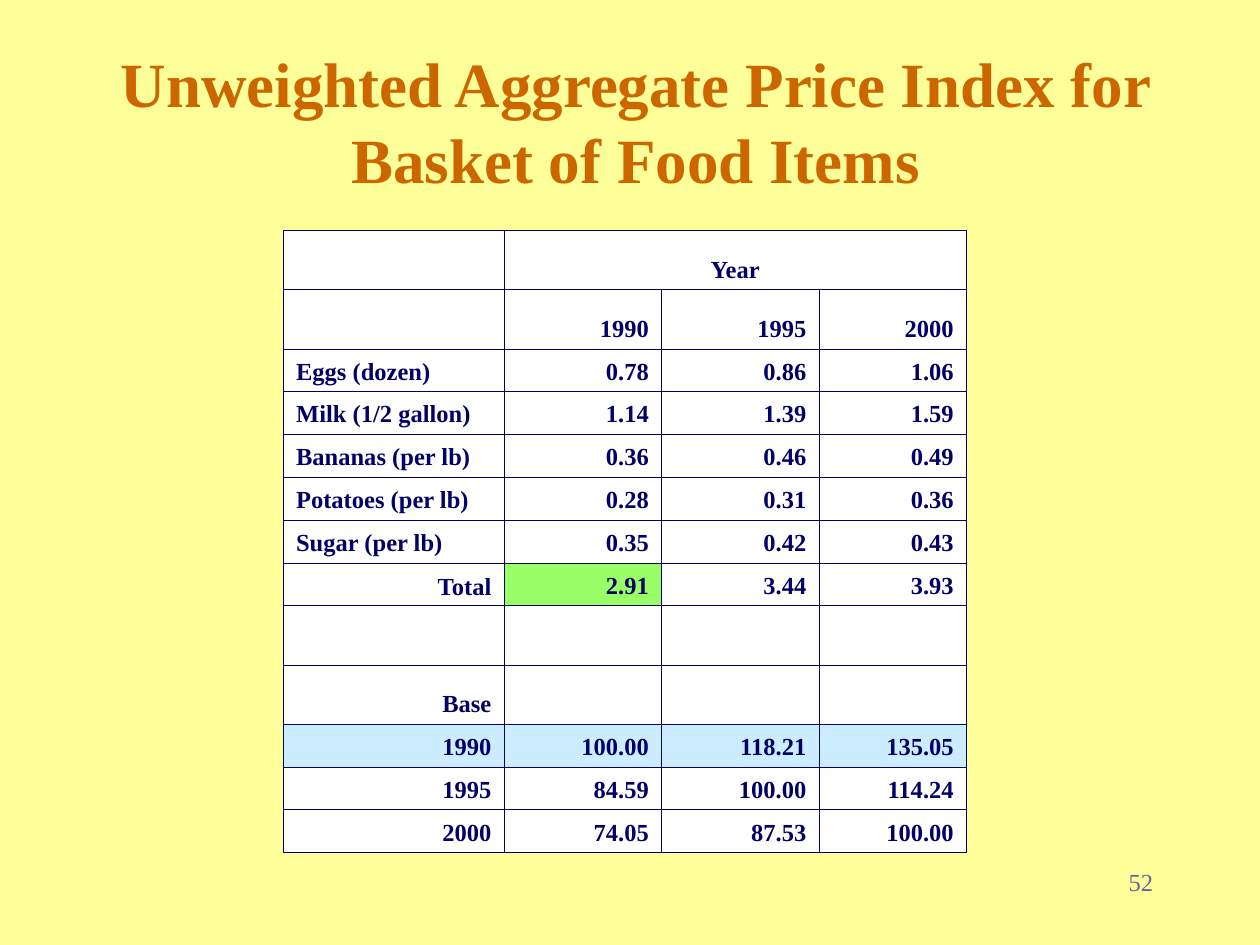
from dataclasses import dataclass

from pptx import Presentation
from pptx.dml.color import RGBColor as Color
from pptx.enum.text import MSO_ANCHOR as Anchor, PP_ALIGN as Align
from pptx.oxml import parse_xml
from pptx.oxml.ns import nsdecls
from pptx.util import Inches, Pt


@dataclass(frozen=True)
class Theme:
    """Colours, font and type sizes of the slide."""
    font: str = "Times New Roman"
    background: str = "FFFF99"
    title: str = "CC6600"
    ink: str = "000066"
    number: str = "666699"
    cell: str = "FFFFFF"
    base_total: str = "99FF66"
    base_row: str = "CCECFF"
    title_size: float = 36
    body_size: float = 14
    border_width: float = 0.45


THEME = Theme()
COLUMN_WIDTHS = (1.75, 1.25, 1.25, 1.17)
TALL_ROW, SHORT_ROW = 0.47, 0.34
TOTAL_ROW, BASE_YEAR_ROW = 7, 10
ROWS = (
    ("", "Year", "", ""),
    ("", "1990", "1995", "2000"),
    ("Eggs (dozen)", "0.78", "0.86", "1.06"),
    ("Milk (1/2 gallon)", "1.14", "1.39", "1.59"),
    ("Bananas (per lb)", "0.36", "0.46", "0.49"),
    ("Potatoes (per lb)", "0.28", "0.31", "0.36"),
    ("Sugar (per lb)", "0.35", "0.42", "0.43"),
    ("Total", "2.91", "3.44", "3.93"),
    ("", "", "", ""),
    ("Base", "", "", ""),
    ("1990", "100.00", "118.21", "135.05"),
    ("1995", "84.59", "100.00", "114.24"),
    ("2000", "74.05", "87.53", "100.00"),
)


def write(frame, text, *, size=THEME.body_size, color=THEME.ink, bold=True,
          align=Align.RIGHT, before=None, spacing=None):
    """Write one formatted paragraph into a text frame."""
    para = frame.paragraphs[0]
    para.alignment = align
    para.font.size = Pt(size)
    if before is not None:
        para.space_before = Pt(before)
    if spacing is not None:
        para.line_spacing = spacing
    if text:
        span = para.add_run()
        span.text = text
        span.font.name = THEME.font
        span.font.size = Pt(size)
        span.font.bold = bold
        span.font.color.rgb = Color.from_string(color)


def add_text(page, text, left, top, width, height, anchor=Anchor.TOP, **style):
    """Add a wrapping text box."""
    box = page.shapes.add_textbox(
        Inches(left), Inches(top), Inches(width), Inches(height))
    box.text_frame.word_wrap = True
    box.text_frame.vertical_anchor = anchor
    write(box.text_frame, text, **style)


def outline_cell(cell):
    """Draw a thin line on all four sides of a cell."""
    properties = cell._tc.get_or_add_tcPr()
    for side in ("lnL", "lnR", "lnT", "lnB"):
        properties.append(parse_xml(
            f'<a:{side} {nsdecls("a")} w="{Pt(THEME.border_width)}"><a:solidFill>'
            f'<a:srgbClr val="{THEME.ink}"/></a:solidFill></a:{side}>'))


def cell_fill(row, column):
    """Choose the fill that marks the base year."""
    if row == BASE_YEAR_ROW:
        return THEME.base_row
    return THEME.base_total if (row, column) == (TOTAL_ROW, 1) else THEME.cell


def cell_style(row, column):
    """Choose the paragraph format for a table position."""
    if row == 0:
        return {"align": Align.CENTER}
    if column == 0 and row < TOTAL_ROW:
        return {"align": Align.LEFT}
    if column == 0 and row == TOTAL_ROW:
        return {"before": 3.5, "spacing": 0.8}
    return {}


def add_price_table(page, left, top):
    """Add the table of food prices and index values."""
    heights = [SHORT_ROW if values[0] and values[0] != "Base" else TALL_ROW
               for values in ROWS]
    table = page.shapes.add_table(
        len(ROWS), len(COLUMN_WIDTHS), Inches(left), Inches(top),
        Inches(sum(COLUMN_WIDTHS)), Inches(sum(heights))).table
    table.first_row = table.horz_banding = False
    for column, width in zip(table.columns, COLUMN_WIDTHS):
        column.width = Inches(width)
    for row, height in zip(table.rows, heights):
        row.height = Inches(height)
    table.cell(0, 1).merge(table.cell(0, 3))
    for row, values in enumerate(ROWS):
        for column, text in enumerate(values):
            cell = table.cell(row, column)
            cell.vertical_anchor = Anchor.BOTTOM
            outline_cell(cell)
            cell.fill.solid()
            cell.fill.fore_color.rgb = Color.from_string(cell_fill(row, column))
            write(cell.text_frame, text, **cell_style(row, column))


def main():
    """Build and save the price index slide."""
    deck = Presentation()
    deck.slide_width, deck.slide_height = Inches(10), Inches(7.5)
    page = deck.slides.add_slide(deck.slide_layouts[6])
    page.background.fill.solid()
    page.background.fill.fore_color.rgb = Color.from_string(THEME.background)
    add_text(page, "Unweighted Aggregate Price Index for Basket of Food Items",
             0.42, 0.33, 9.25, 1.25, anchor=Anchor.MIDDLE,
             size=THEME.title_size, color=THEME.title, align=Align.CENTER)
    add_price_table(page, 2.25, 1.83)
    add_text(page, "52", 8.42, 6.83, 0.83, 0.5,
             color=THEME.number, bold=False, before=8.8)
    deck.save("out.pptx")


if __name__ == "__main__":
    main()
